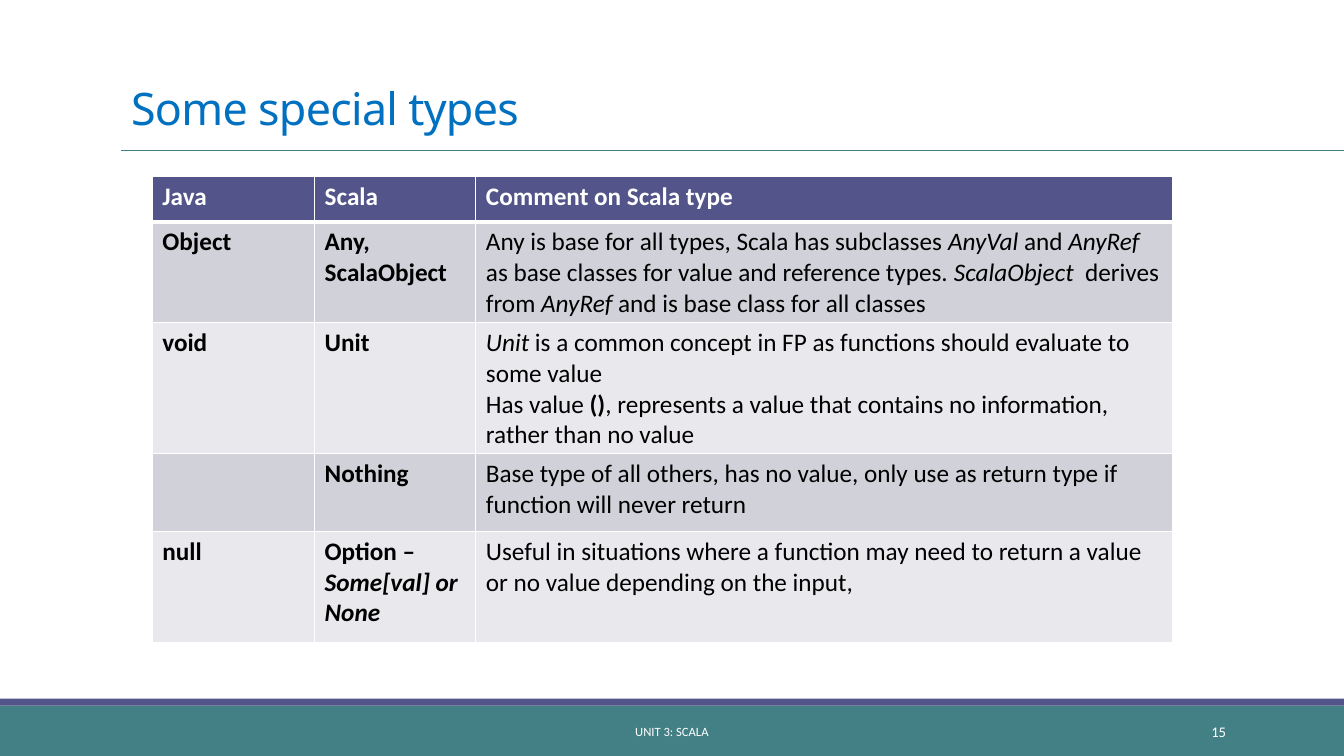
"""Build the slide that compares special types in Java and Scala."""
from lxml.etree import SubElement
from pptx import Presentation
from pptx.dml.color import RGBColor
from pptx.enum.shapes import MSO_CONNECTOR, MSO_SHAPE
from pptx.enum.text import MSO_ANCHOR, MSO_AUTO_SIZE, PP_ALIGN
from pptx.oxml.ns import qn
from pptx.util import Inches, Pt

TEAL = RGBColor(0x43, 0x80, 0x86)
PURPLE = RGBColor(0x53, 0x54, 0x8A)
BLUE = RGBColor(0x00, 0x70, 0xC0)
DARK_BAND = RGBColor(0xD1, 0xD1, 0xDA)
LIGHT_BAND = RGBColor(0xE9, 0xE9, 0xED)
WHITE = RGBColor(0xFF, 0xFF, 0xFF)
BLACK = RGBColor(0x00, 0x00, 0x00)

presentation = Presentation()
presentation.slide_width = Inches(13.33)
presentation.slide_height = Inches(7.5)
slide = presentation.slides.add_slide(presentation.slide_layouts[5])


def place(left, top, width, height):
    """Turn percentages of the slide into lengths."""
    across = presentation.slide_width / 100
    down = presentation.slide_height / 100
    return int(left * across), int(top * down), int(width * across), int(height * down)


def style_run(run, size, color, font="Calibri"):
    """Set the font, size and colour of a run."""
    run.font.name = font
    run.font.size = Pt(size)
    run.font.color.rgb = color


for top, height, color in [(93.33, 6.67, TEAL), (92.4, 0.93, PURPLE)]:
    bar = slide.shapes.add_shape(MSO_SHAPE.RECTANGLE, *place(0, top, 100, height))
    bar.shadow.inherit = False
    bar.fill.solid()
    bar.fill.fore_color.rgb = color
    bar.line.fill.background()

rule_left, rule_top, rule_width, _ = place(9, 19.87, 91, 0)
title_rule = slide.shapes.add_connector(
    MSO_CONNECTOR.STRAIGHT, rule_left, rule_top, rule_left + rule_width, rule_top)
title_rule.line.color.rgb = TEAL
title_rule.line.width = Pt(0.5)
SubElement(title_rule._element.spPr, qn("a:effectLst"))

title = slide.shapes.title
title.left, title.top, title.width, title.height = place(9, 4.13, 82.5, 14.4)
title.text_frame.text = "Some special types"
title.text_frame.auto_size = MSO_AUTO_SIZE.NONE
title.text_frame.vertical_anchor = MSO_ANCHOR.BOTTOM
title_paragraph = title.text_frame.paragraphs[0]
title_paragraph.alignment = PP_ALIGN.LEFT
title_paragraph.line_spacing = 0.85
title_run = title_paragraph.runs[0]
style_run(title_run, 32, BLUE, "Noto Sans")
title_run.font._element.set("spc", "-50")

FOOTERS = [
    ("UNIT 3: SCALA", 30.23, 39.53, 9, PP_ALIGN.CENTER),
    ("15", 81.23, 10.73, 10.5, PP_ALIGN.RIGHT),
]
for text, left, width, size, alignment in FOOTERS:
    footer = slide.shapes.add_textbox(*place(left, 94.13, width, 5.33))
    footer.text_frame.word_wrap = True
    footer.text_frame.vertical_anchor = MSO_ANCHOR.MIDDLE
    footer.text_frame.text = text
    paragraph = footer.text_frame.paragraphs[0]
    paragraph.alignment = alignment
    style_run(paragraph.runs[0], size, WHITE)

# Bars enclose emphasised words; newlines separate paragraphs.
ROWS = [
    ("Java", "Scala", "Comment on Scala type"),
    ("Object", "Any,\vScalaObject",
     "Any is base for all types, Scala has subclasses |AnyVal| and |AnyRef| as base classes "
     "for value and reference types. |ScalaObject|  derives from |AnyRef| and is base class "
     "for all classes"),
    ("void", "Unit",
     "|Unit| is a common concept in FP as functions should evaluate to some value\n"
     "Has value |()|, represents a value that contains no information, rather than no value"),
    ("", "Nothing",
     "Base type of all others, has no value, only use as return type if function will "
     "never return"),
    ("null", "Option – |Some[val] or None|",
     "Useful in situations where a function may need to return a value or no value "
     "depending on the input,"),
]
COLUMN_WIDTHS = [12.08, 12, 51.83]
ROW_HEIGHTS = [6, 10.27, 17.2, 10.27, 14.67]

table = slide.shapes.add_table(
    len(ROWS), len(COLUMN_WIDTHS),
    *place(11.33, 23.33, sum(COLUMN_WIDTHS), sum(ROW_HEIGHTS))).table
for column, width in zip(table.columns, COLUMN_WIDTHS):
    column.width = place(0, 0, width, 0)[2]
for row, height in zip(table.rows, ROW_HEIGHTS):
    row.height = place(0, 0, 0, height)[3]

for row_index, texts in enumerate(ROWS):
    is_header = row_index == 0
    band = PURPLE if is_header else DARK_BAND if row_index % 2 else LIGHT_BAND
    for column_index, text in enumerate(texts):
        cell = table.cell(row_index, column_index)
        properties = cell._tc.get_or_add_tcPr()
        for side in ("lnL", "lnR", "lnT", "lnB"):
            thick = (is_header and side == "lnB") or (row_index == 1 and side == "lnT")
            border = SubElement(properties, qn(f"a:{side}"), w=str(Pt(3 if thick else 1)))
            border_fill = SubElement(border, qn("a:solidFill"))
            SubElement(border_fill, qn("a:srgbClr"), val=str(WHITE))
        cell.fill.solid()
        cell.fill.fore_color.rgb = band

        cell.text_frame.text = "\n".join("" for _ in text.split("\n"))
        for paragraph, line in zip(cell.text_frame.paragraphs, text.split("\n")):
            for segment_index, segment in enumerate(line.split("|")):
                emphasised = segment_index % 2 == 1
                for part_index, part in enumerate(segment.split("\v")):
                    if part_index:
                        paragraph.add_line_break()
                    if part:
                        run = paragraph.add_run()
                        run.text = part
                        style_run(run, 18, WHITE if is_header else BLACK)
                        run.font.bold = is_header or column_index < 2 or part == "()"
                        run.font.italic = emphasised and part != "()"

presentation.save("out.pptx")
